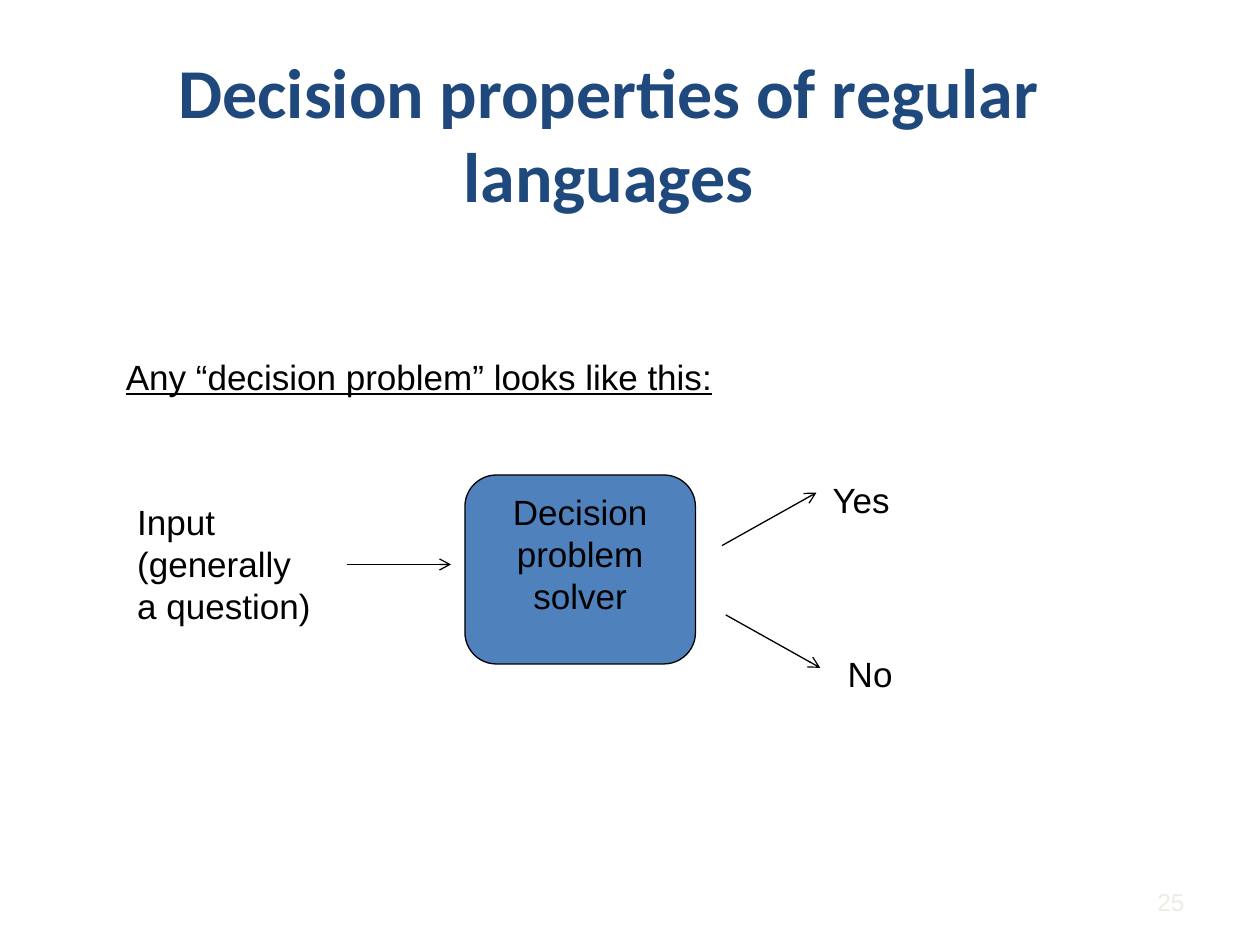
from typing import NamedTuple

from lxml import etree
from pptx import Presentation
from pptx.dml.color import RGBColor
from pptx.enum.shapes import MSO_CONNECTOR, MSO_SHAPE
from pptx.enum.text import MSO_ANCHOR, PP_ALIGN
from pptx.oxml.ns import qn
from pptx.util import Inches, Pt

BLACK = RGBColor(0x00, 0x00, 0x00)
NAVY = RGBColor(0x1F, 0x49, 0x7D)
BLUE = RGBColor(0x4F, 0x81, 0xBD)
CREAM = RGBColor(0xEE, 0xEC, 0xE1)

LEFT, CENTER, RIGHT = PP_ALIGN.LEFT, PP_ALIGN.CENTER, PP_ALIGN.RIGHT
TOP, MIDDLE = MSO_ANCHOR.TOP, MSO_ANCHOR.MIDDLE
STRAIGHT = MSO_CONNECTOR.STRAIGHT
ROUNDED = MSO_SHAPE.ROUNDED_RECTANGLE

COLUMNS, ROWS = 100, 75
WIDTH, HEIGHT = Inches(10), Inches(7.5)


class Box(NamedTuple):
    """Left, top, width and height in grid columns and rows."""
    col: float
    row: float
    cols: float
    rows: float


class Style(NamedTuple):
    size: int = 20
    font: str = "Arial"
    color: RGBColor = BLACK
    bold: bool = False
    underline: bool = False
    align: PP_ALIGN = LEFT
    anchor: MSO_ANCHOR = TOP
    wrap: bool = False


class Label(NamedTuple):
    text: str
    box: Box
    style: Style = Style()


class Arrow(NamedTuple):
    col: float
    row: float
    to_col: float
    to_row: float


LABELS = [
    Label("Decision properties of regular languages", Box(5.8, 2.5, 85, 16.1),
          Style(40, "Calibri", NAVY, bold=True, align=CENTER, anchor=MIDDLE, wrap=True)),
    Label("Any “decision problem” looks like this:", Box(9, 27.7, 48.9, 4.4),
          Style(underline=True)),
    Label("Input\v(generally\va question)", Box(9.9, 39.2, 15.9, 11.1)),
    Label("Yes", Box(65.1, 37.5, 6.6, 4.4)),
    Label("No", Box(66.3, 51.3, 5.6, 4.4)),
    Label("25", Box(71.7, 69, 23.3, 5.2),
          Style(14, color=CREAM, align=RIGHT, anchor=MIDDLE, wrap=True)),
]
SOLVER = Label("Decision problem solver", Box(36.9, 37.7, 18.3, 15),
               Style(align=CENTER, wrap=True))
ARROWS = [
    Arrow(27.5, 44.8, 35.8, 44.8),
    Arrow(57.3, 43.3, 64.8, 39.1),
    Arrow(57.6, 48.8, 65.1, 53),
]


def x(cols: float) -> int:
    return round(WIDTH * cols / COLUMNS)


def y(rows: float) -> int:
    return round(HEIGHT * rows / ROWS)


def place(box: Box) -> tuple[int, int, int, int]:
    return x(box.col), y(box.row), x(box.cols), y(box.rows)


def write(shape, text: str, style: Style) -> None:
    tf = shape.text_frame
    tf.text = text
    tf.word_wrap = style.wrap
    tf.vertical_anchor = style.anchor
    p = tf.paragraphs[0]
    p.alignment = style.align
    for r in p.runs:
        r.font.name = style.font
        r.font.size = Pt(style.size)
        r.font.bold = style.bold
        r.font.underline = style.underline
        r.font.color.rgb = style.color


def add_label(s, label: Label) -> None:
    write(s.shapes.add_textbox(*place(label.box)), label.text, label.style)


def add_solver(s, label: Label) -> None:
    sp = s.shapes.add_shape(ROUNDED, *place(label.box))
    sp.shadow.inherit = False
    sp.fill.solid()
    sp.fill.fore_color.rgb = BLUE
    sp.line.color.rgb = BLACK
    sp.line.width = Pt(0.75)
    write(sp, label.text, label.style)


def add_arrow(s, arrow: Arrow) -> None:
    line = s.shapes.add_connector(STRAIGHT, x(arrow.col), y(arrow.row),
                                  x(arrow.to_col), y(arrow.to_row))
    line.line.color.rgb = BLACK
    line.line.width = Pt(0.75)
    etree.SubElement(line.line._get_or_add_ln(), qn("a:tailEnd"), type="arrow")
    etree.SubElement(line._element.spPr, qn("a:effectLst"))


def main() -> None:
    prs = Presentation()
    prs.slide_width, prs.slide_height = WIDTH, HEIGHT
    s = prs.slides.add_slide(prs.slide_layouts[6])
    add_solver(s, SOLVER)
    for arrow in ARROWS:
        add_arrow(s, arrow)
    for label in LABELS:
        add_label(s, label)
    prs.save("out.pptx")


if __name__ == "__main__":
    main()
